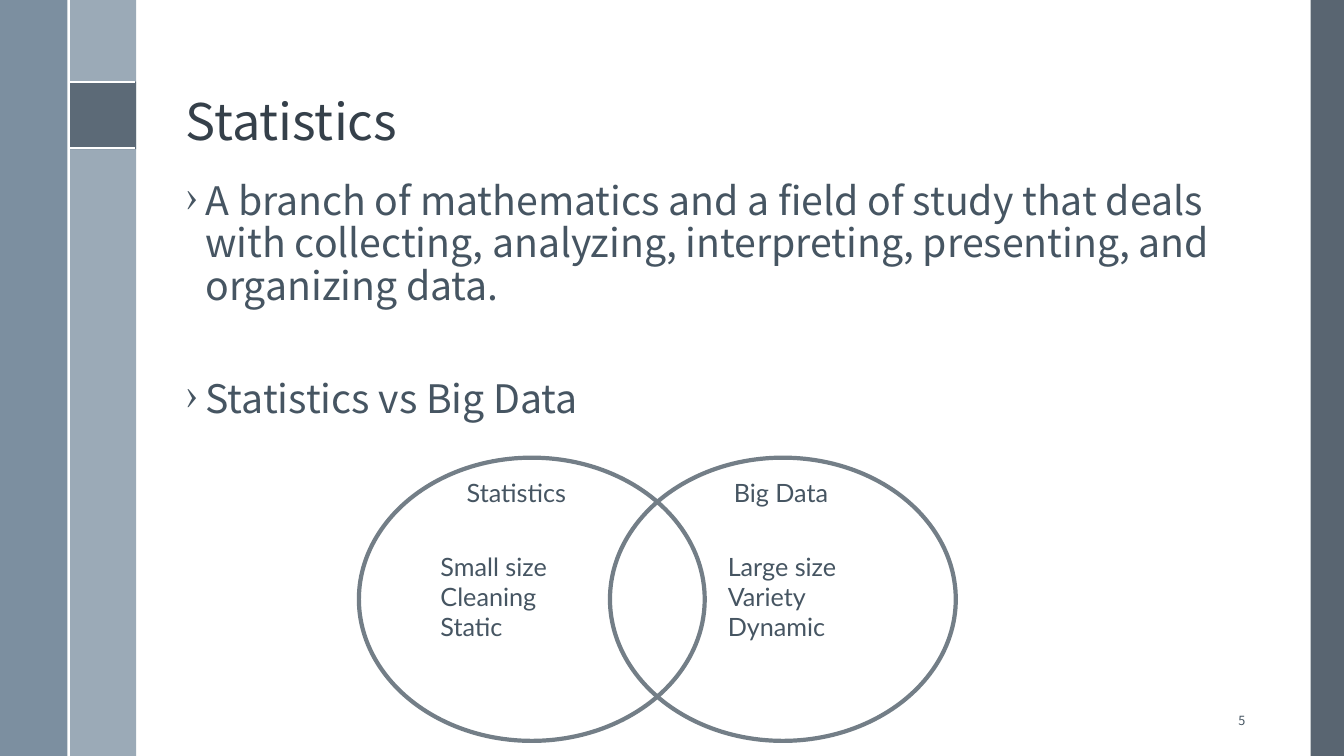
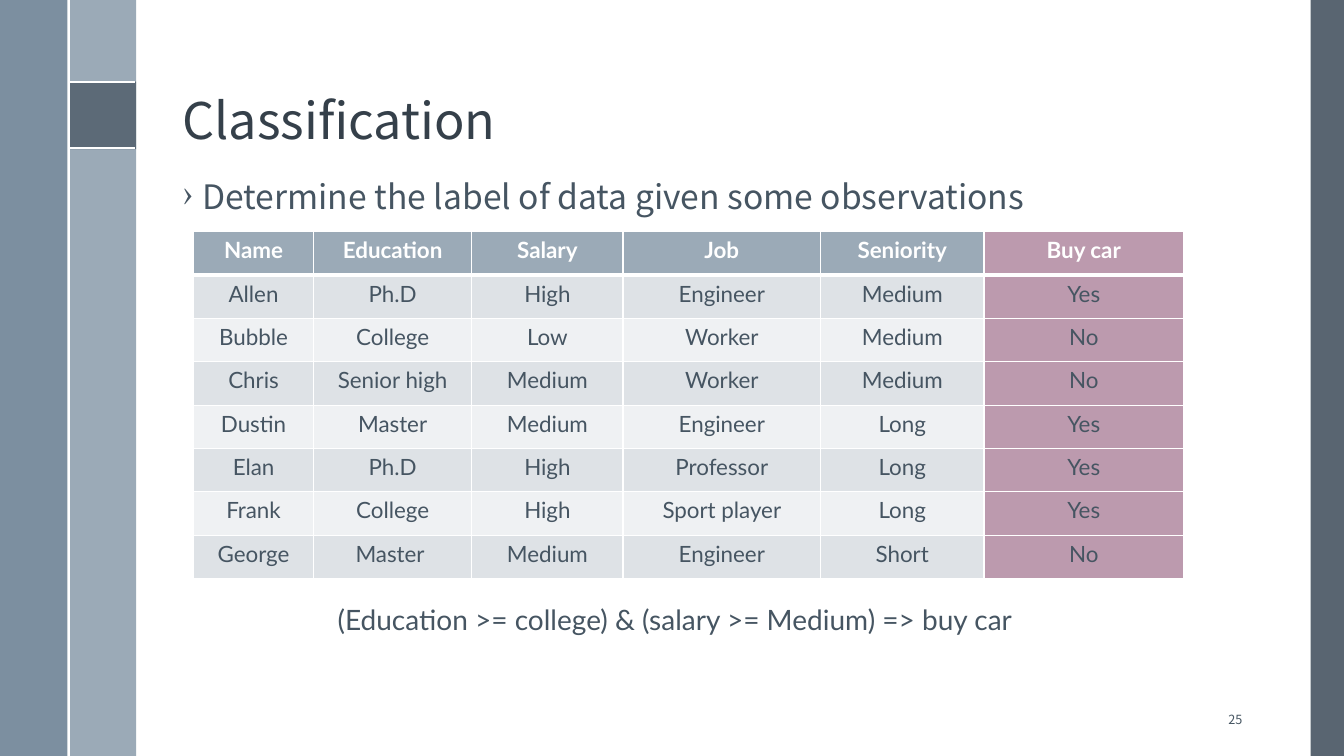
"""Build two slides on statistics and classification."""
from pptx import Presentation
from pptx.dml.color import RGBColor
from pptx.enum import shapes, text
from pptx.oxml import parse_xml
from pptx.oxml.ns import nsdecls, qn
from pptx.util import Inches, Pt

WHITE = RGBColor(0xFF, 0xFF, 0xFF)
SLATE = RGBColor(0x47, 0x55, 0x62)
STEEL = RGBColor(0x6A, 0x80, 0x93)
MIST = RGBColor(0x9B, 0xAA, 0xB7)
TITLE = RGBColor(0x35, 0x40, 0x4A)
INK = RGBColor(0x46, 0x55, 0x62)
RING = RGBColor(0x73, 0x7E, 0x87)
ROSE = RGBColor(0xBC, 0x9A, 0xAE)
ODD = RGBColor(0xDE, 0xE2, 0xE6)
EVEN = RGBColor(0xEF, 0xF1, 0xF3)
HEAD, BODY = "Noto Sans CJK TC", "Lato"
SHAPE, ALIGN, ANCHOR = shapes.MSO_SHAPE, text.PP_ALIGN, text.MSO_ANCHOR


class Deck:
    """Hold the shared style and the current slide."""

    def __init__(self):
        self.prs = Presentation()
        self.prs.slide_width, self.prs.slide_height = Inches(13.33), Inches(7.5)

    def page(self, title, num, x, y):
        self.slide = self.prs.slides.add_slide(self.prs.slide_layouts[5])
        self.x, self.y = x, y
        self.band(13, 0, 0.33, 7.5, SLATE, 90)
        self.band(0.68, 0, 0.67, 7.5, MIST)
        self.band(0, 0, 0.67, 7.5, STEEL, 88)
        self.band(0.68, 0.81, 0.67, 0.67, SLATE, 75)
        for ends in ((0.68, 0.81, 1.34, 0.81), (0.68, 1.47, 1.34, 1.47), (0.68, 0, 0.68, 7.5)):
            self.line(*ends)
        box = self.slide.shapes.title
        box.left, box.top, box.width, box.height = map(Inches, (x, y, 10.7, 1.36))
        frame = box.text_frame
        frame.text = title
        frame.auto_size = text.MSO_AUTO_SIZE.NONE
        frame.vertical_anchor = ANCHOR.BOTTOM
        frame.paragraphs[0].line_spacing = 0.9
        self.style(frame, 36, HEAD, TITLE, ALIGN.LEFT)
        foot = self.label(num, x + 10.04, y + 6.76, 0.67, 0.4, 9, HEAD, ALIGN.RIGHT)
        foot.vertical_anchor = ANCHOR.MIDDLE

    def style(self, frame, size, face, color, align=None, bold=False):
        for para in frame.paragraphs:
            para.alignment = align
            for run in para.runs:
                font = run.font
                font.size, font.name, font.bold = Pt(size), face, bold
                font.color.rgb = color

    def band(self, x, y, w, h, color, alpha=100):
        box = self.slide.shapes.add_shape(SHAPE.RECTANGLE, *map(Inches, (x, y, w, h)))
        box.shadow.inherit = False
        box.line.fill.background()
        box.fill.solid()
        box.fill.fore_color.rgb = color
        if alpha < 100:
            tone = box.fill._xPr.find(qn("a:solidFill"))[0]
            tone.append(parse_xml(f'<a:alpha {nsdecls("a")} val="{alpha * 1000}"/>'))

    def line(self, *ends):
        rule = self.slide.shapes.add_connector(shapes.MSO_CONNECTOR.STRAIGHT, *map(Inches, ends))
        rule.line.color.rgb = WHITE
        rule.line.width = Pt(1.5)
        rule._element.spPr.append(parse_xml(f'<a:effectLst {nsdecls("a")}/>'))

    def ring(self, x, y, w, h):
        oval = self.slide.shapes.add_shape(SHAPE.OVAL, *map(Inches, (x, y, w, h)))
        oval.shadow.inherit = False
        oval.fill.background()
        oval.line.color.rgb = RING
        oval.line.width = Pt(3)

    def label(self, words, x, y, w, h, size=18, face=BODY, align=None, wrap=True):
        box = self.slide.shapes.add_textbox(*map(Inches, (x, y, w, h)))
        frame = box.text_frame
        frame.word_wrap = wrap
        frame.text = words
        self.style(frame, size, face, INK, align)
        return frame

    def points(self, items, size, gap=0):
        frame = self.label("\n".join(items), self.x, self.y + 1.56, 10.7, 5, size, HEAD)
        for i, para in enumerate(frame.paragraphs):
            props = para._p.get_or_add_pPr()
            props.set("marL", str(Inches(0.2)))
            props.set("indent", str(-Inches(0.2)))
            props.append(parse_xml(f'<a:buChar {nsdecls("a")} char="›"/>'))
            para.line_spacing = Pt(round(size * 1.08, 1))
            if i:
                para.space_before = Pt(gap)

    def cell(self, cell, words, fill, color, bold, base):
        cell.text = words
        self.style(cell.text_frame, 16, BODY, color, ALIGN.CENTER, bold)
        props = cell._tc.get_or_add_tcPr()
        for side, width in zip("LRTB", (1, 1, 1, base)):
            props.append(parse_xml(
                f'<a:ln{side} {nsdecls("a")} w="{Pt(width)}"><a:solidFill>'
                f'<a:srgbClr val="{WHITE}"/></a:solidFill></a:ln{side}>'))
        cell.fill.solid()
        cell.fill.fore_color.rgb = fill

    def table(self, rows, x, y, widths, high):
        size = map(Inches, (x, y, sum(widths), high * len(rows)))
        grid = self.slide.shapes.add_table(len(rows), len(widths), *size).table
        for col, width in zip(grid.columns, widths):
            col.width = Inches(width)
        for r, row in enumerate(rows):
            grid.rows[r].height = Inches(high)
            fill = (ODD if r % 2 else EVEN) if r else MIST
            for c, words in enumerate(row):
                tone = ROSE if c == len(row) - 1 else fill
                base = 1 if r else 3
                self.cell(grid.cell(r, c), words, tone, INK if r else WHITE, r == 0, base)


def main():
    deck = Deck()
    deck.page("Statistics", "5", 1.74, 0.19)
    deck.points([
        "A branch of mathematics and a field of study that deals with collecting, "
        "analyzing, interpreting, presenting, and organizing data.",
        "Statistics vs Big Data"], 28, 51)
    for x in (3.56, 6.05):
        deck.ring(x, 4.54, 3.43, 2.81)
    for words, x, y, w, h in (
            ("Statistics", 4.53, 4.69, 1.21, 0.4),
            ("Big Data", 7.18, 4.69, 1.17, 0.4),
            ("Small size\nCleaning\nStatic", 4.27, 5.42, 1.35, 1.01),
            ("Large size\nVariety\nDynamic", 7.12, 5.42, 1.37, 1.01)):
        deck.label(words, x, y, w, h, wrap=False)

    deck.page("Classification", "25", 1.71, 0.18)
    deck.points(["Determine the label of data given some observations"], 24)
    deck.table([
        ("Name", "Education", "Salary", "Job", "Seniority", "Buy car"),
        ("Allen", "Ph.D", "High", "Engineer", "Medium", "Yes"),
        ("Bubble", "College", "Low", "Worker", "Medium", "No"),
        ("Chris", "Senior high", "Medium", "Worker", "Medium", "No"),
        ("Dustin", "Master", "Medium", "Engineer", "Long", "Yes"),
        ("Elan", "Ph.D", "High", "Professor", "Long", "Yes"),
        ("Frank", "College", "High", "Sport player", "Long", "Yes"),
        ("George", "Master ", "Medium", "Engineer", "Short", "No"),
    ], 1.92, 2.3, (1.19, 1.57, 1.5, 1.96, 1.62, 1.98), 0.43)
    deck.label("(Education >= college) & (salary >= Medium) => buy car", 3.25, 5.93, 7.63, 0.44, 20)
    deck.prs.save("out.pptx")


if __name__ == "__main__":
    main()
